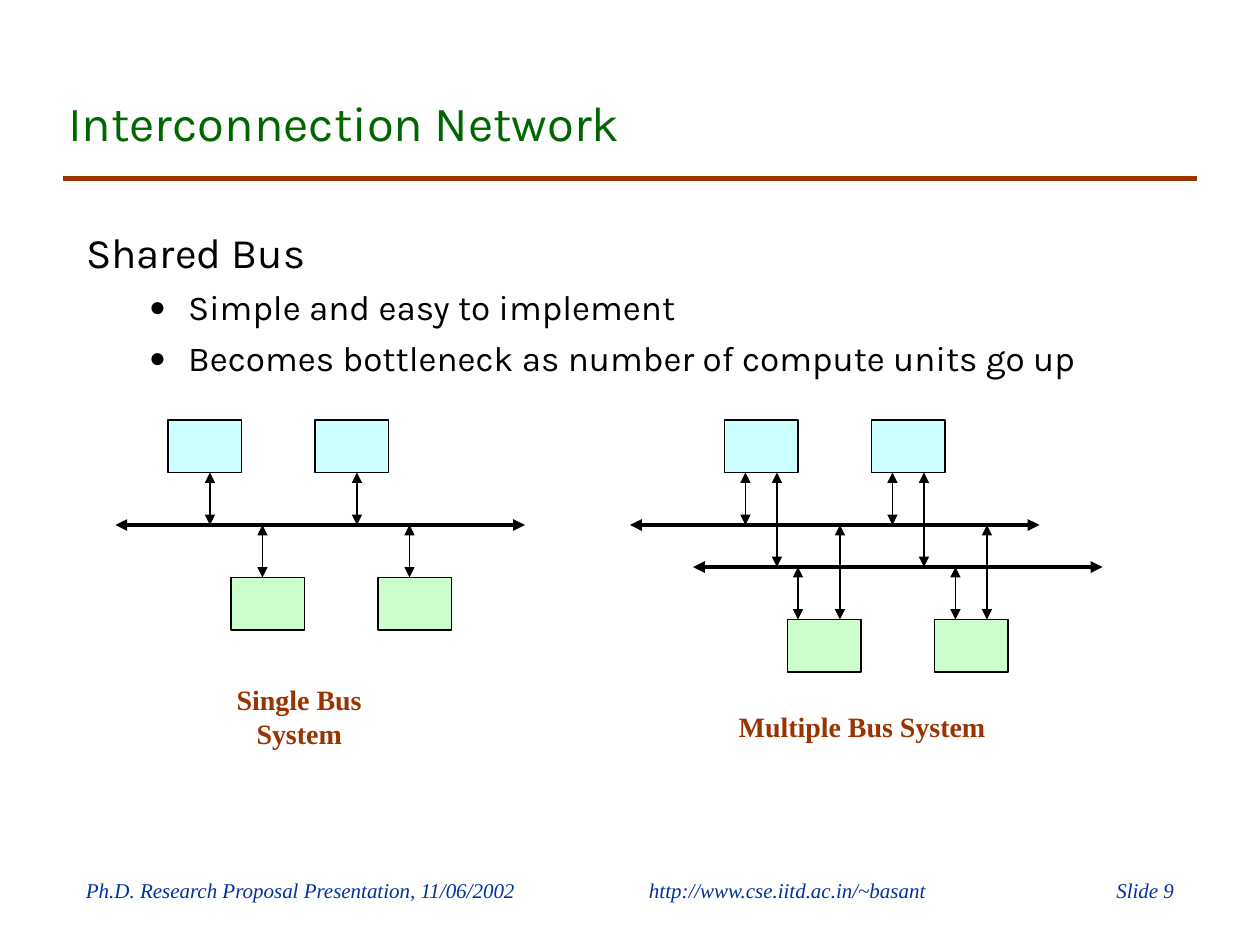
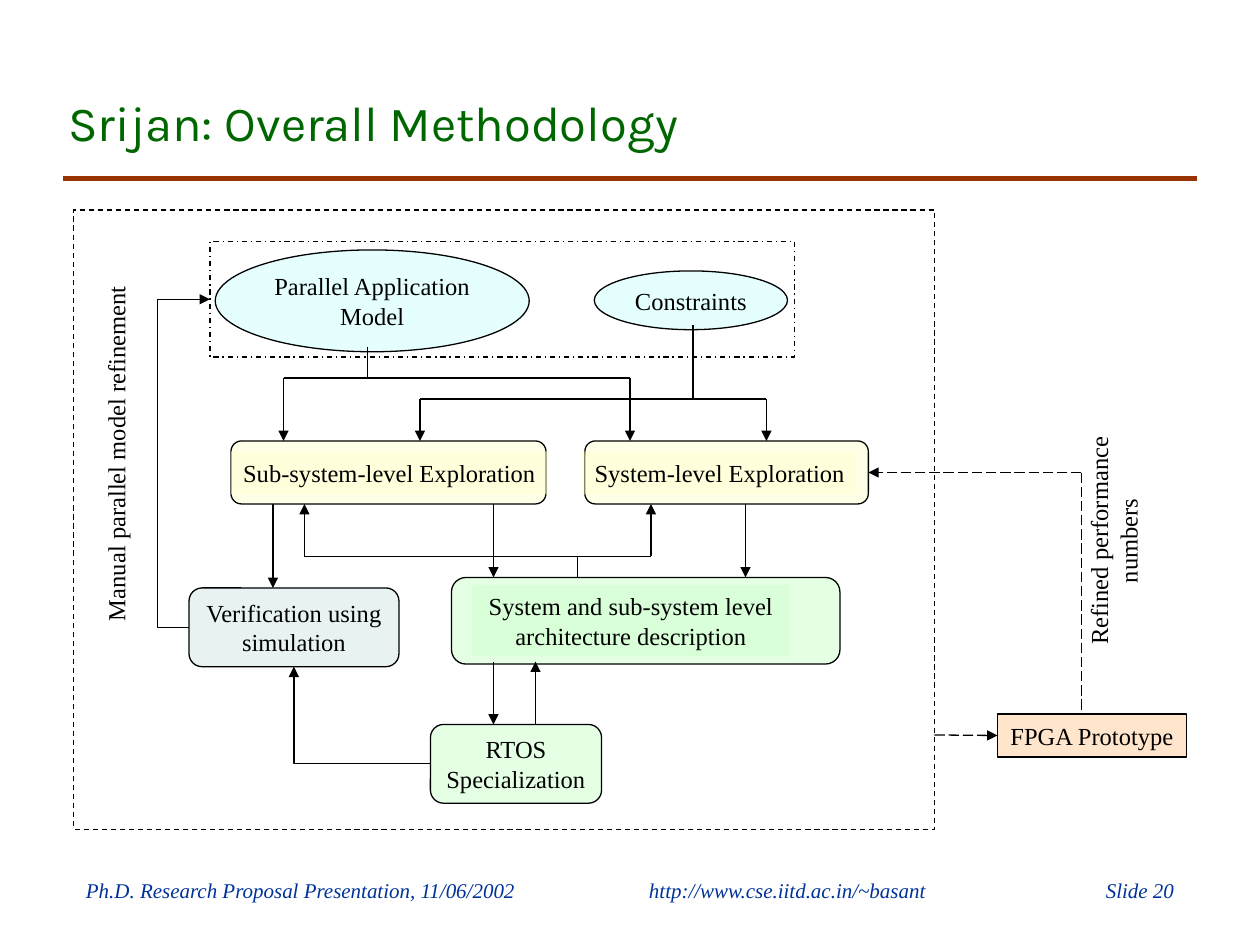
from dataclasses import dataclass

import pptx
import pptx.dml.color
import pptx.enum.dml
import pptx.enum.shapes
import pptx.enum.text
import pptx.oxml
import pptx.oxml.ns
import pptx.util

SHAPE = pptx.enum.shapes.MSO_SHAPE
CONNECTOR = pptx.enum.shapes.MSO_CONNECTOR
DASH = pptx.enum.dml.MSO_LINE
ALIGN = pptx.enum.text.PP_ALIGN
ANCHOR = pptx.enum.text.MSO_ANCHOR


@dataclass(frozen=True)
class Theme:
    heading_font: str = "Karla"
    text_font: str = "Times New Roman"
    title: str = "006600"
    accent: str = "993300"
    footer: str = "003399"
    ink: str = "000000"
    aqua: str = "CCFFFF"
    green: str = "CCFFCC"
    yellow: str = "FFFFD1"
    steel: str = "D3E6E7"
    peach: str = "FFCC99"
    title_size: int = 28
    topic_size: int = 24
    point_size: int = 20
    caption_size: int = 16
    label_size: int = 14
    footer_size: int = 12
    thin: float = 0.75
    bus: float = 2.25
    band: float = 3


THEME = Theme()

# All places are (column, row, columns, rows) on a grid of twelfths of an inch.
COLUMNS, ROWS = 120, 90
CELL = pptx.util.Inches(10) / COLUMNS

TITLE_AREA = (5.3, 3, 102, 12)
BODY_AREA = (7, 21, 105, 18)
BAND = (6, 17, 114, 17)
FOOTERS = [
    ("Ph.D. Research Proposal Presentation, 11/06/2002", (7, 83, 45, 3.6), ALIGN.LEFT),
    ("http://www.cse.iitd.ac.in/~basant", (59, 83, 32, 3.6), ALIGN.CENTER),
    ("Slide {number}", (99, 83, 14, 3.6), ALIGN.RIGHT),
]

NETWORK = {
    "title": "Interconnection Network",
    "number": 9,
    "topic": "Shared Bus",
    "points": ["Simple and easy to implement",
               "Becomes bottleneck as number of compute units go up"],
}
UNIT_COLUMNS, UNIT_ROWS, BUS_COLUMNS = 7, 5, 39
# units: column, row, fill; buses: column, row; links: column, from row, to row
BUS_SYSTEMS = [
    {
        "caption": ("Single Bus System", (17, 66, 23, 4.4)),
        "units": [(16, 40, THEME.aqua), (30, 40, THEME.aqua),
                  (22, 55, THEME.green), (36, 55, THEME.green)],
        "buses": [(11, 50)],
        "links": [(20, 45, 50), (34, 45, 50), (25, 50, 55), (39, 50, 55)],
    },
    {
        "caption": ("Multiple Bus System", (69.1, 67, 26, 4.4)),
        "units": [(69, 40, THEME.aqua), (83, 40, THEME.aqua),
                  (75, 59, THEME.green), (89, 59, THEME.green)],
        "buses": [(60, 50), (66, 54)],
        "links": [(71, 45, 50), (85, 45, 50), (74, 45, 54), (88, 45, 54),
                  (76, 54, 59), (91, 54, 59), (80, 50, 59), (94, 50, 59)],
    },
]

METHODOLOGY = {"title": "Srijan: Overall Methodology", "number": 20}
# key: preset, area, fill, lines of text, area of an inner label (or None)
STAGES = {
    "model": (SHAPE.OVAL, (20.5, 23.8, 29.9, 9.7), THEME.aqua,
              ["Parallel Application", "Model"], None),
    "constraints": (SHAPE.OVAL, (56.6, 25.8, 18.4, 5.6), THEME.aqua, ["Constraints"], None),
    "system": (SHAPE.ROUNDED_RECTANGLE, (55.7, 42, 27, 6), THEME.yellow,
               ["System-level Exploration"], (55.4, 43, 26.3, 4.1)),
    "architecture": (SHAPE.ROUNDED_RECTANGLE, (43, 55, 37, 8.25), THEME.green,
                     ["System and sub-system level", "architecture description"],
                     (45, 55.7, 30.2, 6.8)),
    "subsystem": (SHAPE.ROUNDED_RECTANGLE, (22, 42, 30, 6), THEME.yellow,
                  ["Sub-system-level Exploration"], (22, 43, 30.2, 4.1)),
    "prototype": (SHAPE.RECTANGLE, (95, 68, 18, 4.1), THEME.peach, ["FPGA Prototype"], None),
    "rtos": (SHAPE.ROUNDED_RECTANGLE, (41, 69, 16.3, 7.5), THEME.green,
             ["RTOS", "Specialization"], None),
    "verification": (SHAPE.ROUNDED_RECTANGLE, (18, 56, 20, 7.5), THEME.steel,
                     ["Verification using", "simulation"], None),
}
FRAMES = [((20, 23, 55.7, 11), DASH.DASH_DOT), ((7, 20, 82, 59), DASH.DASH)]
# stem column, stem row, bar row, branch columns, row of the arrow tips
BRANCHES = [
    (35, 33, 36, (27, 60), 42),
    (66, 31, 38, (40, 73), 42),
    (55, 55, 53, (29, 62), 48),
]
# column, from row, to row
FLOWS = [(47, 48, 55), (71, 48, 55), (47, 63, 69), (51, 69, 63), (26, 48, 56)]
# text, centre column, centre row, length
SIDE_NOTES = [
    ("Manual parallel model refinement", 11, 43.2, 34.8),
    ("Refined performance numbers", 106, 51.5, 30.8),
]


def cells(*values):
    return [pptx.util.Emu(round(value * CELL)) for value in values]


def rgb(color):
    return pptx.dml.color.RGBColor.from_string(color)


def add_xml(parent, tag, **attributes):
    child = pptx.oxml.parse_xml(f"<a:{tag} {pptx.oxml.ns.nsdecls('a')}/>")
    for name, value in attributes.items():
        child.set(name, str(value))
    parent.append(child)
    return child


def write(paragraph, text, size, color, font=THEME.text_font, align=None, **style):
    paragraph.alignment = align
    run = paragraph.add_run()
    run.text = text
    run.font.size = pptx.util.Pt(size)
    run.font.name = font
    run.font.color.rgb = rgb(color)
    for name, value in style.items():
        setattr(run.font, name, value)


def write_lines(shape, lines, size=THEME.label_size, color=THEME.ink,
                align=ALIGN.CENTER, anchor=ANCHOR.MIDDLE, **style):
    frame = shape.text_frame
    frame.word_wrap = False
    frame.vertical_anchor = anchor
    for index, line in enumerate(lines):
        paragraph = frame.add_paragraph() if index else frame.paragraphs[0]
        write(paragraph, line, size, color, align=align, **style)


def add_box(slide, preset, area, fill=None, opacity=100, outlined=True, dash=None):
    box = slide.shapes.add_shape(preset, *cells(*area))
    box.shadow.inherit = False
    if fill:
        box.fill.solid()
        box.fill.fore_color.rgb = rgb(fill)
        if opacity < 100:
            tint = box._element.spPr.find(".//" + pptx.oxml.ns.qn("a:srgbClr"))
            add_xml(tint, "alpha", val=opacity * 1000)
    else:
        box.fill.background()
    if outlined:
        box.line.color.rgb = rgb(THEME.ink)
        box.line.width = pptx.util.Pt(THEME.thin)
        box.line.dash_style = dash
    else:
        box.line.fill.background()
    return box


def add_line(slide, ends, color=THEME.ink, width=THEME.thin, heads="", dash=None,
             route=CONNECTOR.STRAIGHT):
    """Draw a connector; heads names the ends with a triangle, 'head' and 'tail'."""
    line = slide.shapes.add_connector(route, *cells(*ends))
    line.line.color.rgb = rgb(color)
    line.line.width = pptx.util.Pt(width)
    line.line.dash_style = dash
    for end in heads.split():
        add_xml(line.line._get_or_add_ln(), end + "End", type="triangle")
    add_xml(line._element.spPr, "effectLst")
    return line


def place(shape, area):
    shape.left, shape.top, shape.width, shape.height = cells(*area)
    shape.text_frame.auto_size = pptx.enum.text.MSO_AUTO_SIZE.NONE


def add_slide(deck, layout, content):
    slide = deck.slides.add_slide(layout)
    title = slide.shapes.title
    place(title, TITLE_AREA)
    title.text_frame.vertical_anchor = ANCHOR.BOTTOM
    write(title.text_frame.paragraphs[0], content["title"], THEME.title_size, THEME.title,
          THEME.heading_font, ALIGN.LEFT)
    add_line(slide, BAND, THEME.accent, THEME.band)
    for text, area, align in FOOTERS:
        footer = slide.shapes.add_textbox(*cells(*area))
        write_lines(footer, [text.format(number=content["number"])], THEME.footer_size,
                    THEME.footer, align, ANCHOR.TOP, italic=True)
        footer.text_frame.word_wrap = True
    return slide


def fill_body(body, topic, points):
    place(body, BODY_AREA)
    frame = body.text_frame
    first = frame.paragraphs[0]
    first.space_before = pptx.util.Pt(0)
    properties = first._p.get_or_add_pPr()
    properties.set("marL", "0")
    properties.set("indent", "0")
    add_xml(properties, "buNone")
    write(first, topic, THEME.topic_size, THEME.ink, THEME.heading_font)
    for point in points:
        paragraph = frame.add_paragraph()
        paragraph.level = 1
        paragraph.space_before = pptx.util.Pt(5)
        properties = paragraph._p.get_or_add_pPr()
        properties.set("marL", str(pptx.util.Inches(0.81)))
        properties.set("indent", str(pptx.util.Inches(-0.31)))
        add_xml(add_xml(properties, "buClr"), "srgbClr", val=THEME.ink)
        add_xml(properties, "buSzPct", val=80000)
        add_xml(properties, "buChar", char="●")
        write(paragraph, point, THEME.point_size, THEME.ink, THEME.heading_font)


def draw_bus_system(slide, system):
    for column, row, fill in system["units"]:
        add_box(slide, SHAPE.RECTANGLE, (column, row, UNIT_COLUMNS, UNIT_ROWS), fill)
    for column, row in system["buses"]:
        add_line(slide, (column, row, column + BUS_COLUMNS, row), width=THEME.bus,
                 heads="head tail")
    for column, start, end in system["links"]:
        add_line(slide, (column, start, column, end), heads="head tail")
    text, area = system["caption"]
    caption = slide.shapes.add_textbox(*cells(*area))
    write_lines(caption, [text], THEME.caption_size, THEME.accent, bold=True)


def draw_stage(slide, preset, area, fill, lines, label_area):
    stage = add_box(slide, preset, area, fill, opacity=50)
    label = stage
    if label_area:
        label = add_box(slide, SHAPE.RECTANGLE, label_area, fill, opacity=50, outlined=False)
    write_lines(label, lines)
    return stage


def draw_branch(slide, stem, stem_row, bar_row, tips, tip_row):
    add_line(slide, (tips[0], bar_row, tips[-1], bar_row))
    add_line(slide, (stem, stem_row, stem, bar_row))
    for tip in tips:
        # Arrows start on the bar; the stem may end a little short of its tips.
        add_line(slide, (tip, bar_row, tip, tip_row), heads="tail")


def draw_refinement_loops(slide, stages):
    to_verification = add_line(slide, (41, 72.75, 28, 63.5), heads="tail",
                               route=CONNECTOR.ELBOW)
    to_verification._element.spPr.prstGeom.set("prst", "bentConnector2")

    to_model = add_line(slide, (18, 59.75, 20, 28.5), heads="tail", route=CONNECTOR.ELBOW)
    adjustments = to_model._element.spPr.prstGeom.get_or_add_avLst()
    add_xml(adjustments, "gd", name="adj1", fmla="val -150000")

    to_prototype = add_line(slide, (89, 70, 95, 70), heads="tail", dash=DASH.LONG_DASH)
    to_prototype.end_connect(stages["prototype"], 1)
    add_line(slide, (103, 45, 103, 68), dash=DASH.LONG_DASH)
    to_system = add_line(slide, (103, 45, 83, 45), heads="tail", dash=DASH.LONG_DASH)
    to_system.end_connect(stages["system"], 3)


def draw_side_note(slide, text, column, row, length, height=4.1):
    note = slide.shapes.add_textbox(
        *cells(column - length / 2, row - height / 2, length, height))
    note.rotation = 270
    write_lines(note, [text])


def main():
    deck = pptx.Presentation()
    deck.slide_width, deck.slide_height = cells(COLUMNS, ROWS)

    network = add_slide(deck, deck.slide_layouts[1], NETWORK)
    fill_body(network.placeholders[1], NETWORK["topic"], NETWORK["points"])
    for system in BUS_SYSTEMS:
        draw_bus_system(network, system)

    methodology = add_slide(deck, deck.slide_layouts[5], METHODOLOGY)
    for area, dash in FRAMES:
        add_box(methodology, SHAPE.RECTANGLE, area, dash=dash)
    stages = {key: draw_stage(methodology, *stage) for key, stage in STAGES.items()}
    for branch in BRANCHES:
        draw_branch(methodology, *branch)
    for column, start, end in FLOWS:
        add_line(methodology, (column, start, column, end), heads="tail")
    draw_refinement_loops(methodology, stages)
    for note in SIDE_NOTES:
        draw_side_note(methodology, *note)

    deck.save("out.pptx")


if __name__ == "__main__":
    main()
